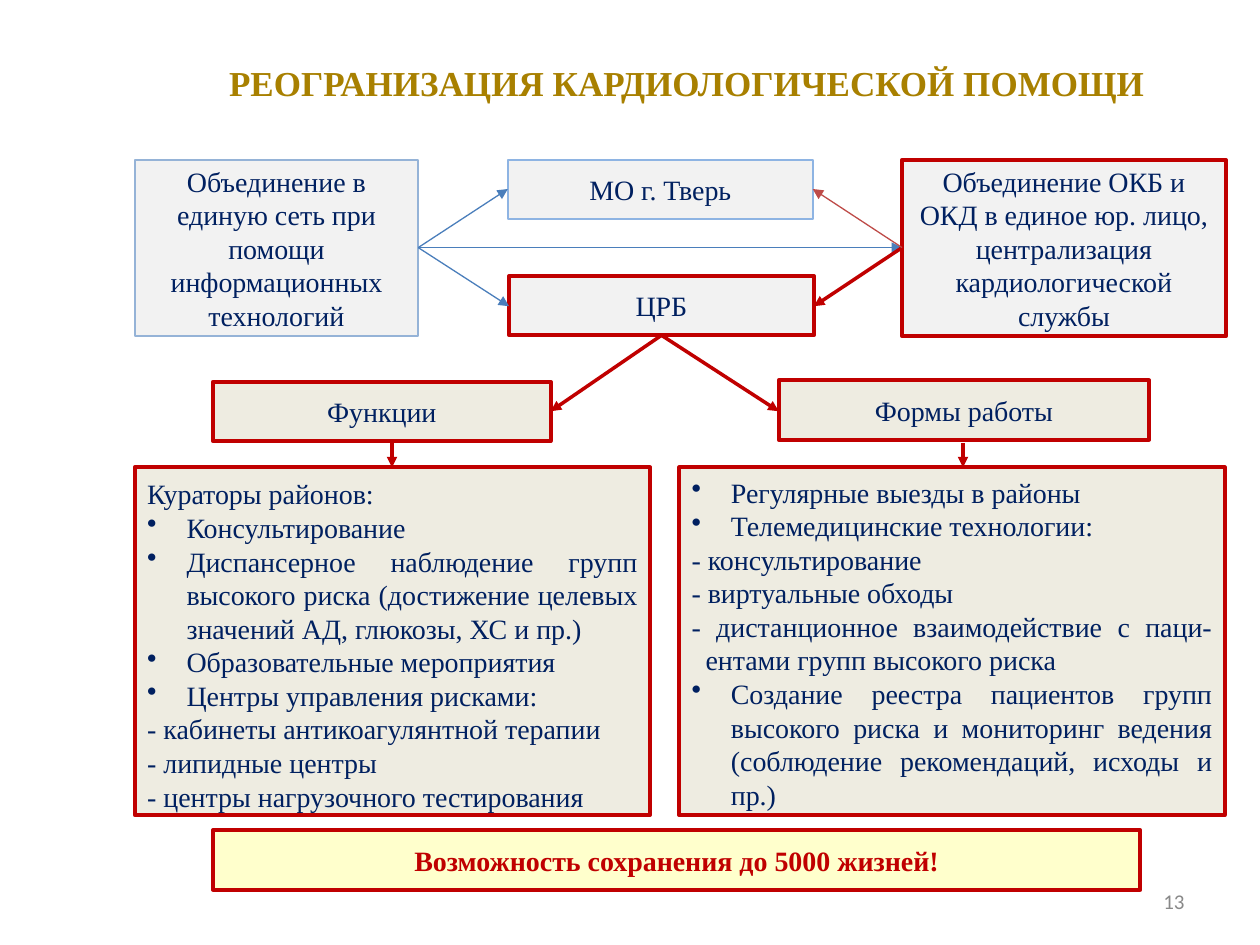
from lxml import etree
from pptx import Presentation
from pptx.dml.color import RGBColor
from pptx.enum.shapes import MSO_CONNECTOR, MSO_SHAPE
from pptx.enum.text import MSO_ANCHOR, PP_ALIGN
from pptx.oxml.ns import qn
from pptx.util import Pt

RECT = MSO_SHAPE.RECTANGLE
LINE = MSO_CONNECTOR.STRAIGHT
MID, TOP = MSO_ANCHOR.MIDDLE, MSO_ANCHOR.TOP
MID_AL, RIGHT, JUST = PP_ALIGN.CENTER, PP_ALIGN.RIGHT, PP_ALIGN.JUSTIFY

NAVY, RED, BLUE, ROSE = "002060", "C00000", "4A7EBB", "BE4B48"
GREY, SAND = "F2F2F2", "EEECE1"
HANG = 22.5
ROW = 33.9

DUTIES = [
    ("Кураторы районов:", HANG, False),
    ("Консультирование", HANG, True),
    ("Диспансерное наблюдение групп высокого риска "
     "(достижение целевых значений АД, глюкозы, ХС и пр.)", HANG, True),
    ("Образовательные мероприятия", HANG, True),
    ("Центры управления рисками:", HANG, True),
    ("- кабинеты антикоагулянтной терапии", HANG, False),
    ("- липидные центры", HANG, False),
    ("- центры нагрузочного тестирования", HANG, False),
]
FORMS = [
    ("Регулярные выезды в районы", HANG, True),
    ("Телемедицинские технологии:", HANG, True),
    ("- консультирование", HANG, False),
    ("- виртуальные обходы", HANG, False),
    ("- дистанционное взаимодействие с паци-ентами групп высокого риска",
     8, False),
    ("Создание реестра пациентов групп высокого риска и мониторинг "
     "ведения (соблюдение рекомендаций, исходы и пр.)", HANG, True),
]


def rgb(code):
    return RGBColor.from_string(code)


def write(para, text, size=16, font="Times New Roman", color=NAVY,
          bold=False, align=MID_AL, hang=0, dot=False):
    para.alignment = align
    run = para.add_run()
    run.text = text
    run.font.size = Pt(size)
    run.font.name = font
    run.font.bold = bold
    run.font.color.rgb = rgb(color)
    if hang:
        props = para._p.get_or_add_pPr()
        props.set("marL", str(Pt(hang)))
        props.set("indent", str(-Pt(hang)))
        if dot:
            etree.SubElement(props, qn("a:buChar")).set("char", "•")


def frame(shape, anchor=MID, pad=(7.2, 3.6, 7.2, 3.6)):
    body = shape.text_frame
    body.word_wrap = True
    body.vertical_anchor = anchor
    (body.margin_left, body.margin_top,
     body.margin_right, body.margin_bottom) = map(Pt, pad)
    return body


def label(slide, at, text, anchor=MID, **style):
    shape = slide.shapes.add_textbox(*map(Pt, at))
    write(frame(shape, anchor).paragraphs[0], text, **style)


def panel(slide, at, fill, edge=RED, width=2.25):
    shape = slide.shapes.add_shape(RECT, *map(Pt, at))
    shape.shadow.inherit = False
    shape.fill.solid()
    shape.fill.fore_color.rgb = rgb(fill)
    shape.line.color.rgb = rgb(edge)
    shape.line.width = Pt(width)
    return shape


def box(slide, at, text, fill, edge=RED, width=2.25, **style):
    shape = panel(slide, at, fill, edge, width)
    write(frame(shape).paragraphs[0], text, **style)


def roster(slide, at, items, shift):
    pad = (7.2, 3.6 + shift, 7.2, 3.6 - shift)
    body = frame(panel(slide, at, SAND), pad=pad)
    for num, (text, hang, dot) in enumerate(items):
        para = body.add_paragraph() if num else body.paragraphs[0]
        write(para, text, align=JUST, hang=hang, dot=dot)


def arrow(slide, start, end, color=RED, width=2):
    link = slide.shapes.add_connector(LINE, *map(Pt, start + end))
    link.line.color.rgb = rgb(color)
    link.line.width = Pt(width)
    edge = link.line._get_or_add_ln()
    etree.SubElement(edge, qn("a:tailEnd")).set("type", "triangle")
    etree.SubElement(link._element.spPr, qn("a:effectLst"))


def main():
    deck = Presentation()
    deck.slide_width, deck.slide_height = Pt(720), Pt(540)
    slide = deck.slides.add_slide(deck.slide_layouts[6])

    label(slide, (64.8, 31.7, 655.2, 49), "РЕОГРАНИЗАЦИЯ КАРДИОЛОГИЧЕСКОЙ ПОМОЩИ",
          anchor=TOP, size=20, color="A88000", bold=True)
    label(slide, (516.2, 500.4, 167.8, 28.8), "13", size=12,
          font="Calibri", color="898989", align=RIGHT)

    box(slide, (515.5, 91.4, 185, 100.8),
        "Объединение ОКБ и ОКД в единое юр. лицо, "
        "централизация кардиологической службы", GREY)
    box(slide, (445, 217.4, 211.7, ROW), "Формы работы", SAND)
    box(slide, (121.7, 218.2, 193, ROW), "Функции", SAND)
    box(slide, (290.2, 91.4, 174.2, ROW), "МО г. Тверь", GREY, "8EB4E3", 1)
    box(slide, (290.9, 157.7, 174.2, ROW), "ЦРБ", GREY)
    roster(slide, (77, 267.1, 294.5, 198.7), DUTIES, 2)
    roster(slide, (388.1, 267.1, 311.8, 198.7), FORMS, 1)
    box(slide, (77, 91.4, 162, 100.8),
        "Объединение в единую сеть при помощи информационных технологий",
        GREY, "95B3D7", 1)

    net, union, hub = (239, 141.5), (515.5, 141.5), (378, 191.6)
    for end in (union, (290.9, 175), (290.2, 108)):
        arrow(slide, net, end, BLUE, 0.75)
    arrow(slide, union, (465.1, 175))
    arrow(slide, union, (464.4, 108), ROSE, 0.75)
    for end in ((314.7, 235), (445, 235)):
        arrow(slide, hub, end)
    for mid in (224, 550.3):
        arrow(slide, (mid, 253.4), (mid, 267.1))

    box(slide, (121.7, 474.5, 530, ROW),
        "Возможность сохранения до 5000 жизней!", "FFFFCC",
        color=RED, bold=True)
    deck.save("out.pptx")


if __name__ == "__main__":
    main()
